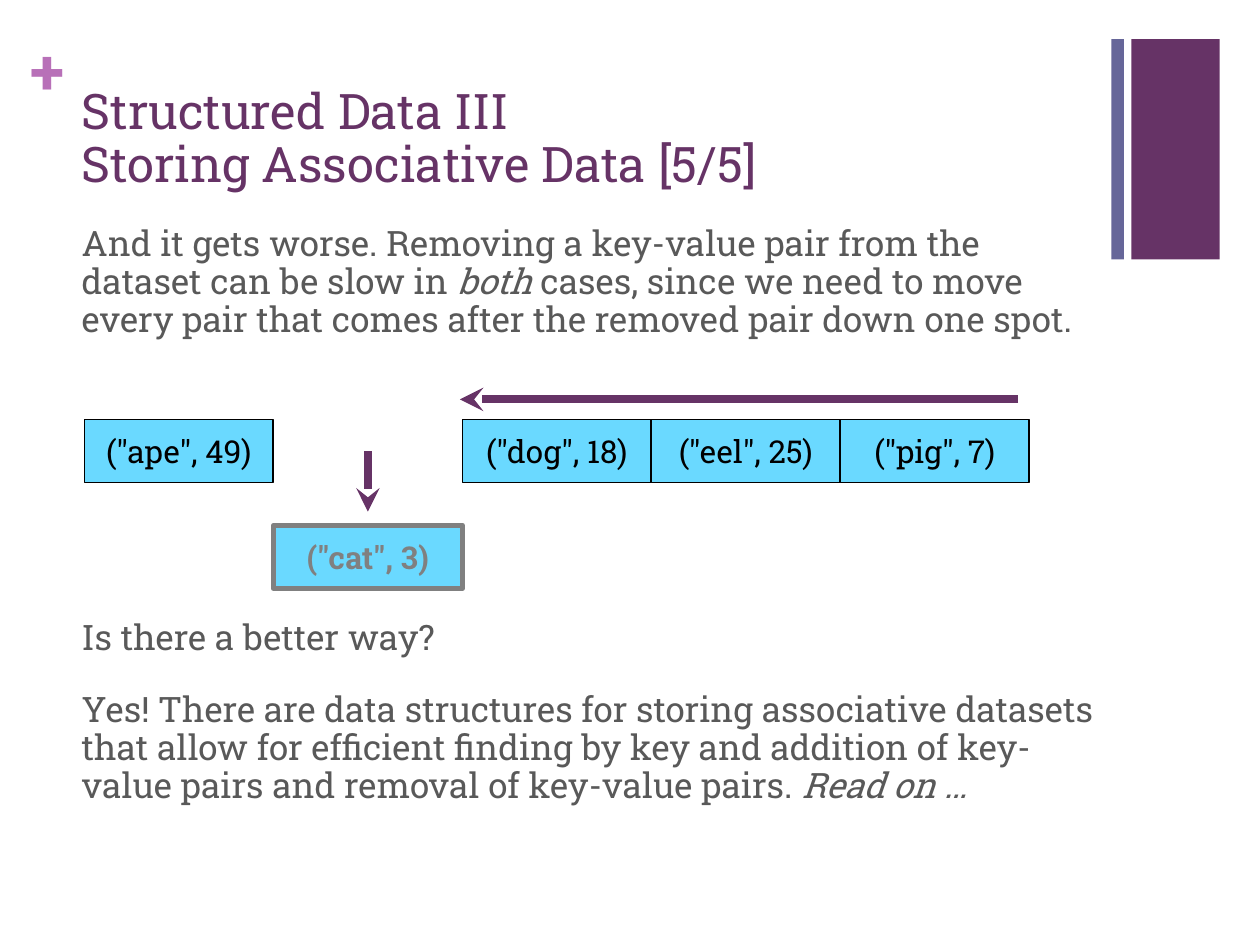
from lxml.etree import SubElement
from pptx import Presentation
from pptx.dml.color import RGBColor
from pptx.enum.shapes import MSO_CONNECTOR, MSO_SHAPE
from pptx.enum.text import MSO_ANCHOR, MSO_AUTO_SIZE, PP_ALIGN
from pptx.oxml.ns import qn
from pptx.util import Inches, Pt

FONT = "Roboto Slab"
COLORS = {"plum": "663366", "slate": "666699", "orchid": "B870B8",
          "body": "595959", "cell": "6AD9FF", "gray": "808080", "black": "000000"}
PAIR_W, PAIR_H = 1.5, 0.5


def color(name):
    return RGBColor.from_string(COLORS[name])


def add_run(paragraph, text, size, shade, bold=False, italic=False):
    run = paragraph.add_run()
    run.text = text
    run.font.name, run.font.size = FONT, Pt(size)
    run.font.bold, run.font.italic = bold, italic
    run.font.color.rgb = color(shade)


def add_rect(slide, left, top, width, height, fill):
    rect = slide.shapes.add_shape(MSO_SHAPE.RECTANGLE, Inches(left), Inches(top),
                                  Inches(width), Inches(height))
    rect.shadow.inherit = False
    rect.fill.solid()
    rect.fill.fore_color.rgb = color(fill)
    rect.line.fill.background()
    return rect


def add_decor(slide, left, top):
    """Bars at the upper right and the plus sign at the upper left."""
    add_rect(slide, left + 8.74, top + 0.06, 0.7, 1.75, "plum")
    add_rect(slide, left + 8.58, top + 0.06, 0.1, 1.75, "slate")
    plus = slide.shapes.add_textbox(Inches(left), Inches(top), Inches(0.29), Inches(0.61))
    frame = plus.text_frame
    frame.margin_left = frame.margin_right = frame.margin_top = frame.margin_bottom = 0
    add_run(frame.paragraphs[0], "+", 36, "orchid", bold=True)


def add_title(slide, left, top, width, height, lines):
    title = slide.shapes.title
    title.left, title.top = Inches(left), Inches(top)
    title.width, title.height = Inches(width), Inches(height)
    frame = title.text_frame
    frame.auto_size = MSO_AUTO_SIZE.NONE
    frame.vertical_anchor = MSO_ANCHOR.BOTTOM
    paragraph = frame.paragraphs[0]
    paragraph.alignment, paragraph.line_spacing = PP_ALIGN.LEFT, 0.9
    for index, line in enumerate(lines):
        if index:
            paragraph.add_line_break()
        add_run(paragraph, line, 28, "plum")


def add_prose(slide, left, top, width, height, paragraphs):
    """Each paragraph is a list of (text, italic) runs."""
    prose = slide.shapes.add_textbox(Inches(left), Inches(top), Inches(width), Inches(height))
    frame = prose.text_frame
    frame.word_wrap = True
    for index, runs in enumerate(paragraphs):
        paragraph = frame.add_paragraph() if index else frame.paragraphs[0]
        paragraph.line_spacing = 0.9
        paragraph.space_before = Pt(20 if index else 0)
        for text, italic in runs:
            add_run(paragraph, text, 20, "body", italic=italic)


def add_pair(slide, left, top, text, removed=False):
    shade = "gray" if removed else "black"
    pair = add_rect(slide, left, top, PAIR_W, PAIR_H, "cell")
    pair.line.color.rgb = color(shade)
    pair.line.width = Pt(3 if removed else 1)
    frame = pair.text_frame
    frame.vertical_anchor = MSO_ANCHOR.MIDDLE
    frame.paragraphs[0].alignment = PP_ALIGN.CENTER
    add_run(frame.paragraphs[0], text, 18, shade, bold=removed)


def add_arrow(slide, x1, y1, x2, y2):
    arrow = slide.shapes.add_connector(MSO_CONNECTOR.STRAIGHT, Inches(x1), Inches(y1),
                                       Inches(x2), Inches(y2))
    arrow.line.color.rgb = color("plum")
    arrow.line.width = Pt(4.5)
    SubElement(arrow.line._get_or_add_ln(), qn("a:tailEnd"), type="stealth")
    SubElement(arrow._element.spPr, qn("a:effectLst"))


def add_removal_diagram(slide, left, top):
    """Row of pairs with the removed one dropped below its slot."""
    removed_slot = 1
    removed_left = left + removed_slot * PAIR_W
    add_pair(slide, removed_left, top + 0.84, '("cat", 3)', removed=True)
    middle = removed_left + PAIR_W / 2
    add_arrow(slide, middle, top + 0.25, middle, top + 0.73)
    add_arrow(slide, left + 7.41, top - 0.16, left + 2.98, top - 0.16)
    kept = {0: '("ape", 49)', 2: '("dog", 18)', 3: '("eel", 25)', 4: '("pig", 7)'}
    for slot, text in kept.items():
        add_pair(slide, left + slot * PAIR_W, top, text)


prs = Presentation()
prs.slide_width, prs.slide_height = Inches(10), Inches(7.5)
slide = prs.slides.add_slide(prs.slide_layouts[5])

add_decor(slide, 0.24, 0.25)
add_title(slide, 0.55, 0.53, 8.26, 1.05,
          ["Structured Data III", "Storing Associative Data [5/5]"])
add_prose(slide, 0.55, 1.75, 8.26, 1.15, [
    [("And it gets worse. Removing a key-value pair from the dataset can be slow in ", False),
     ("both", True),
     (" cases, since we need to move every pair that comes after the removed pair "
      "down one spot.", False)]])
add_removal_diagram(slide, 0.67, 3.33)
add_prose(slide, 0.55, 4.87, 8.26, 2.05, [
    [("Is there a better way?", False)],
    [("Yes! There are data structures for storing associative datasets that allow for "
      "efficient finding by key and addition of key-value pairs and removal of "
      "key-value pairs. ", False),
     ("Read on …", True)]])

prs.save("out.pptx")
